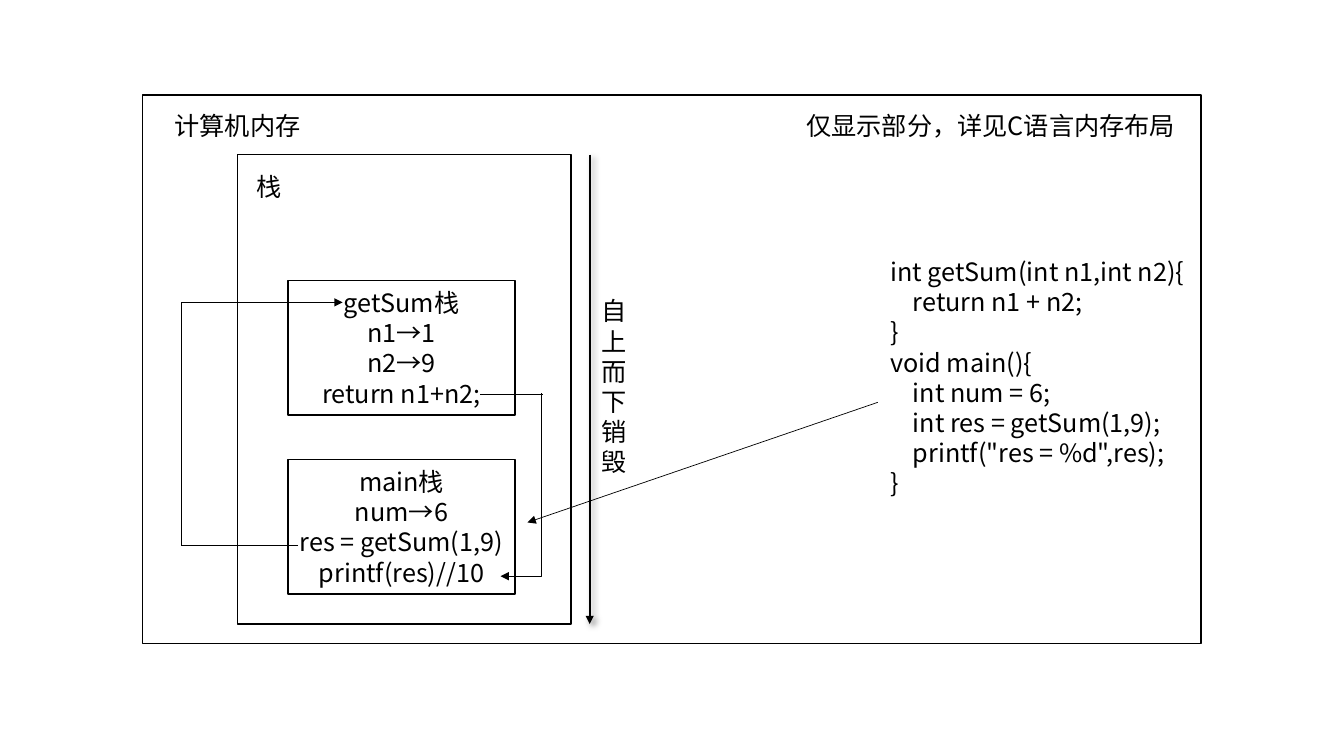
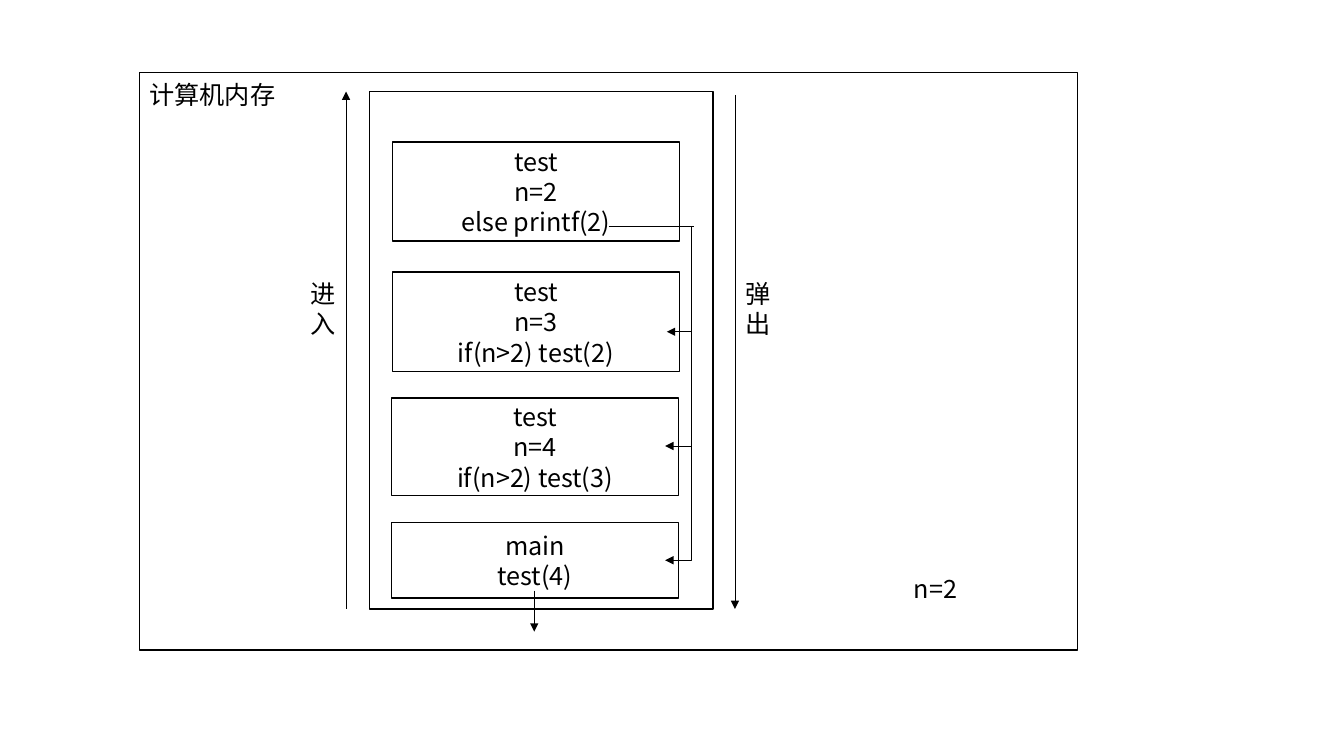
from lxml.etree import SubElement
from pptx import Presentation
from pptx.dml.color import RGBColor
from pptx.enum.shapes import MSO_CONNECTOR, MSO_SHAPE
from pptx.enum.text import MSO_ANCHOR, MSO_AUTO_SIZE, PP_ALIGN
from pptx.oxml.ns import qn
from pptx.util import Inches, Pt

COLORS = {"ink": "000000", "paper": "FFFFFF"}
FONT = "Noto Sans CJK SC"
CELL = Inches(1) / 12  # the slide is a grid of 160 columns by 90 rows
COLUMNS, ROWS = 160, 90
LABEL_HEIGHT = 4.8
GLYPH_WIDTH = 5.4  # width of a label one character wide
MEMORY_TITLE = "计算机内存"
MEMORY_TITLE_WIDTH = 17.5


def grid(*cells):
    return [round(cell * CELL) for cell in cells]


def color(name):
    return RGBColor.from_string(COLORS[name])


# Text
def write(frame, text, size=18, align=PP_ALIGN.LEFT, anchor=MSO_ANCHOR.TOP, wrap=True):
    frame.word_wrap = wrap
    frame.vertical_anchor = anchor
    for index, line in enumerate(text.split("\n")):
        paragraph = frame.add_paragraph() if index else frame.paragraphs[0]
        paragraph.alignment = align
        paragraph.line_spacing = Pt(size * 1.2)
        run = paragraph.add_run()
        run.text = line
        run.font.size = Pt(size)
        run.font.name = FONT
        run.font.color.rgb = color("ink")
        SubElement(run.font._element, qn("a:ea"), typeface=FONT)


def label(slide, text, left, top, width, height=LABEL_HEIGHT, wrap=False):
    frame = slide.shapes.add_textbox(*grid(left, top, width, height)).text_frame
    write(frame, text, wrap=wrap)
    frame.auto_size = MSO_AUTO_SIZE.SHAPE_TO_FIT_TEXT


# Boxes
def box(slide, left, top, width, height, text=None):
    area = slide.shapes.add_shape(MSO_SHAPE.RECTANGLE, *grid(left, top, width, height))
    area.shadow.inherit = False
    area.fill.solid()
    area.fill.fore_color.rgb = color("paper")
    area.line.color.rgb = color("ink")
    area.line.width = Pt(1)
    if text:
        write(area.text_frame, text, align=PP_ALIGN.CENTER, anchor=MSO_ANCHOR.MIDDLE)


# Lines and arrows
def link(slide, start, end, kind=MSO_CONNECTOR.STRAIGHT, weight=0.5, arrow=True, shadow=False):
    path_line = slide.shapes.add_connector(kind, *grid(*start, *end))
    path_line.line.color.rgb = color("ink")
    path_line.line.width = Pt(weight)
    if arrow:
        SubElement(path_line.line._get_or_add_ln(), qn("a:tailEnd"), type="triangle")
    effects = SubElement(path_line._element.spPr, qn("a:effectLst"))
    if shadow:
        outer = SubElement(effects, qn("a:outerShdw"), blurRad=str(Pt(4)),
                           dist=str(Pt(3)), dir=str(45 * 60000))
        shade = SubElement(outer, qn("a:srgbClr"), val=COLORS["ink"])
        SubElement(shade, qn("a:alpha"), val="40000")
    return path_line


def elbow(slide, start, end):
    """Run vertically from start, then horizontally to end."""
    bend = link(slide, start, end, kind=MSO_CONNECTOR.ELBOW)
    adjustments = bend._element.spPr.find(qn("a:prstGeom")).get_or_add_avLst()
    SubElement(adjustments, qn("a:gd"), name="adj1", fmla="val 0")


# Slide 1: a function call on the stack
def call_slide(slide):
    box(slide, 17, 11.3, 126, 65.3)
    box(slide, 28.3, 18.4, 39.7, 55.9)
    frames = ("getSum栈\nn1→1\nn2→9\nreturn n1+n2;",
              "main栈\nnum→6\nres = getSum(1,9)\nprintf(res)//10")
    for row, text in enumerate(frames):
        box(slide, 34.3, 33.4 + row * 21.3, 27, 16, text)

    label(slide, "仅显示部分，详见C语言内存布局", 94.8, 12.6, 46.7, wrap=True)
    label(slide, MEMORY_TITLE, 19.6, 12.6, MEMORY_TITLE_WIDTH)
    label(slide, "栈", 29.3, 19.8, GLYPH_WIDTH)
    code = """int getSum(int n1,int n2){
    return n1 + n2;
}
void main(){
    int num = 6;
    int res = getSum(1,9);
    printf("res = %d",res);
}"""
    label(slide, code, 104.8, 29.9, 50, 30.2, wrap=True)
    link(slide, (104.5, 47.9), (62.8, 62.2))

    # Call from main into getSum, and the return
    link(slide, (35.5, 64.9), (21.5, 64.9), arrow=False)
    elbow(slide, (21.6, 64.9), (40.8, 36))
    link(slide, (64.6, 47), (57.2, 47), arrow=False)
    elbow(slide, (64.4, 46.8), (59.6, 68.6))

    # Order of destruction
    link(slide, (70.2, 18.4), (70.2, 74.3), weight=1.5, shadow=True)
    label(slide, "\n".join("自上而下销毁"), 70.4, 34.6, GLYPH_WIDTH, 23)


# Slide 2: recursion on the stack
def recursion_slide(slide):
    box(slide, 16.6, 8.6, 111.7, 68.8)
    box(slide, 44, 10.9, 40.9, 61.6)
    frames = ((46.7, 16.9, 11.8, "test\nn=2\nelse printf(2)"),
              (46.7, 32.4, 11.8, "test\nn=3\nif(n>2) test(2)"),
              (46.6, 47.4, 11.6, "test\nn=4\nif(n>2) test(3)"),
              (46.6, 62.2, 9, "main\ntest(4)"))
    for left, top, height, text in frames:
        box(slide, left, top, 34.2, height, text)

    label(slide, MEMORY_TITLE, 16.6, 8.9, MEMORY_TITLE_WIDTH)
    label(slide, "n=2", 107.6, 67.7, 7.7)

    # Push and pop directions
    link(slide, (41.2, 72.5), (41.2, 10.9))
    link(slide, (87.5, 11.3), (87.5, 72.5))
    for word, left in (("进入", 35.8), ("弹出", 87.6)):
        label(slide, "\n".join(word), left, 32.5, GLYPH_WIDTH, 8.5)

    # Returns from each frame to the one below
    link(slide, (63.6, 70.3), (63.6, 75.2))
    link(slide, (72.5, 27), (82.6, 27), arrow=False)
    for top, bottom, tip in ((27, 39.5, 79.4), (39.4, 53.1, 79.2), (52.8, 66.7, 79.2)):
        elbow(slide, (82.3, top), (tip, bottom))


def main():
    deck = Presentation()
    deck.slide_width, deck.slide_height = grid(COLUMNS, ROWS)
    blank = deck.slide_layouts[6]
    for build in (call_slide, recursion_slide):
        build(deck.slides.add_slide(blank))
    deck.save("out.pptx")


if __name__ == "__main__":
    main()
